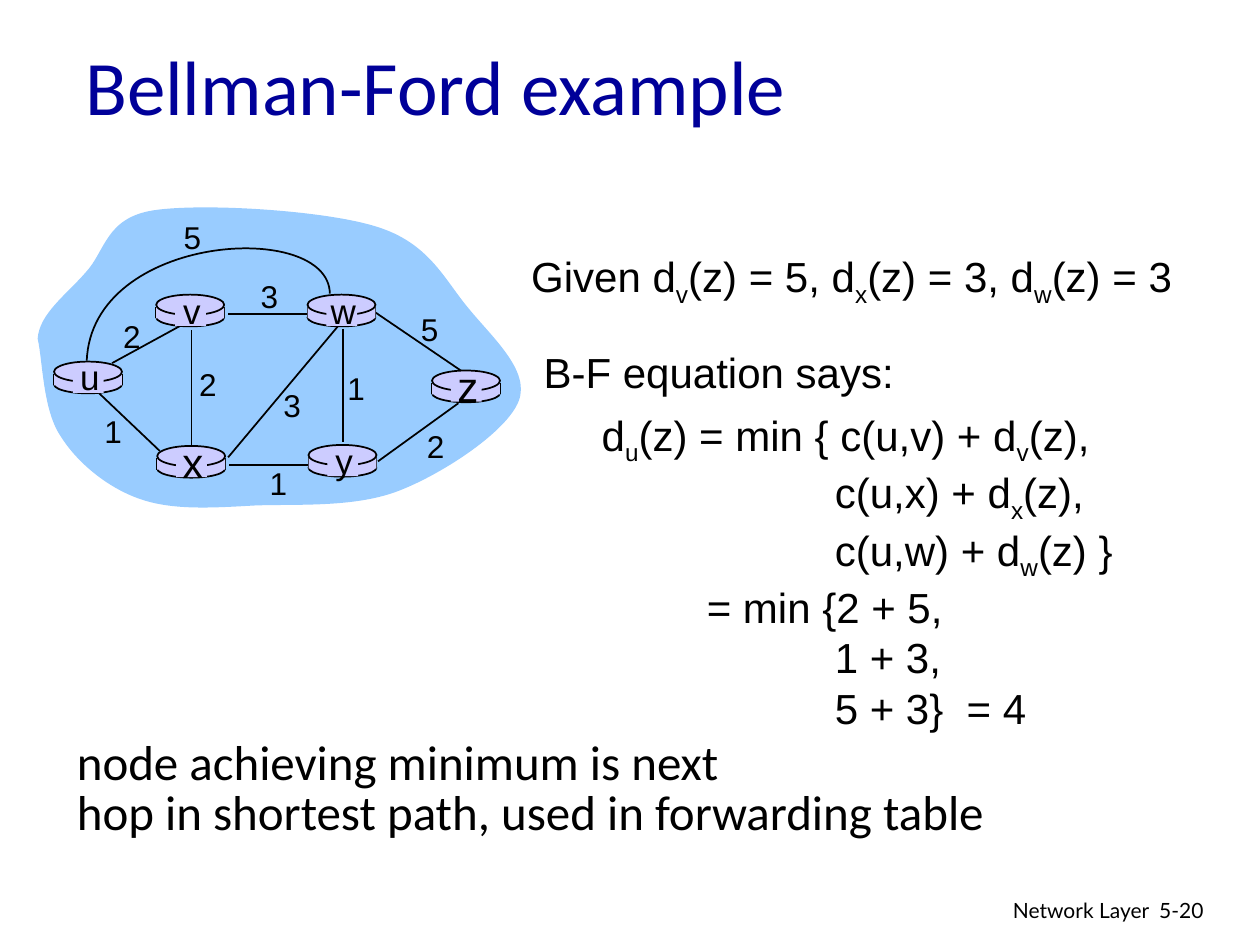
from lxml.etree import SubElement
from pptx import Presentation
from pptx.dml.color import RGBColor
from pptx.enum.shapes import MSO_CONNECTOR, MSO_SHAPE
from pptx.enum.text import MSO_ANCHOR, PP_ALIGN
from pptx.oxml.ns import qn
from pptx.util import Cm, Pt

COLORS = {"ink": "000000", "title": "000099", "cloud": "99CCFF", "router": "CCCCFF"}

# Start point, then three points (two controls and an end) for each curve
CLOUD = [
    (0, 2.74),
    (0.03, 2.24), (0.58, 1.85), (0.97, 1.4),
    (1.37, 0.97), (1.37, 0.3), (2.34, 0.15),
    (3.33, 0), (5.79, 0.15), (6.83, 0.48),
    (7.9, 0.81), (8.2, 1.55), (8.69, 2.13),
    (9.17, 2.72), (9.93, 3.38), (9.7, 3.99),
    (9.47, 4.6), (8.2, 5.44), (7.32, 5.79),
    (6.43, 6.15), (5.26, 6.07), (4.39, 6.1),
    (3.51, 6.15), (2.72, 6.2), (2.06, 5.97),
    (1.4, 5.74), (0.79, 5.23), (0.46, 4.7),
    (0.1, 4.17), (0.1, 3.15), (0, 2.74),
]
U_W_ARC = [(5.89, 1.83), (5.87, 0.33), (1.09, 0.61), (0.99, 3.18)]

# Ends of each link
LINKS = [
    (1.5, 3.23, 3, 2.41),        # u-v
    (6.15, 2.54, 6.15, 4.83),    # w-y
    (3.1, 2.57, 3.1, 4.93),      # v-x
    (3.84, 5.13, 6.05, 2.49),    # x-w
    (6.86, 5.21, 8.48, 4.04),    # y-z
    (5.46, 5.28, 3.86, 5.28),    # y-x
    (2.46, 5, 1.24, 3.84),       # x-u
    (5.44, 2.24, 3.84, 2.24),    # w-v
    (8.56, 3.4, 6.81, 2.21),     # z-w
]
COSTS = [
    ("2", 1.47, 2.18), ("1", 5.99, 3.23), ("2", 3, 3.15), ("3", 4.7, 3.56),
    ("2", 7.59, 4.39), ("1", 4.42, 5.13), ("1", 1.09, 4.09), ("3", 4.24, 1.37),
    ("5", 7.47, 2.03), ("5", 2.69, 0.18),
]
# Name, left, top, size of the name
ROUTERS = [
    ("u", 0.33, 3.2, 20), ("x", 2.41, 4.9, 24), ("v", 2.39, 1.85, 20),
    ("w", 5.44, 1.85, 20), ("y", 5.46, 4.88, 20), ("z", 7.95, 3.38, 24),
]
# Indent and text; the letter after "_" is a subscript
MINIMUM = [
    (0, "d_u(z) = min { c(u,v) + d_v(z),"),
    (4.7, "c(u,x) + d_x(z),"),
    (4.7, "c(u,w) + d_w(z) }"),
    (2.12, "= min {2 + 5,"),
    (4.7, "1 + 3,"),
    (4.7, "5 + 3}  = 4"),
]


def rgb(name):
    return RGBColor.from_string(COLORS[name])


def style(shape, fill=None, line=None):
    shape.shadow.inherit = False
    if fill:
        shape.fill.solid()
        shape.fill.fore_color.rgb = rgb(fill)
    else:
        shape.fill.background()
    if line:
        shape.line.color.rgb = rgb(line)
        shape.line.width = Pt(1)
    else:
        shape.line.fill.background()


def add_preset(shapes, preset, left, top, width, height, line=None):
    shape = shapes.add_shape(preset, Cm(left), Cm(top), Cm(width), Cm(height))
    style(shape, "router", line)


def add_line(shapes, x1, y1, x2, y2):
    line = shapes.add_connector(MSO_CONNECTOR.STRAIGHT, Cm(x1), Cm(y1), Cm(x2), Cm(y2))
    line.line.color.rgb = rgb("ink")
    line.line.width = Pt(1)
    SubElement(line._element.spPr, qn("a:effectLst"))


def add_curve(shapes, left, top, points, close=False, **look):
    """Draw cubic curves: a start point, then three points for each curve."""
    start, *rest = [(Cm(left + x), Cm(top + y)) for x, y in points]
    builder = shapes.build_freeform(*start)
    builder.add_line_segments(rest, close=close)
    curve = builder.convert_to_shape()
    segments = list(curve._element.iter(qn("a:lnTo")))
    for first in range(0, len(rest), 3):
        cubic = segments[first]
        cubic.tag = qn("a:cubicBezTo")
        for segment in segments[first + 1:first + 3]:
            cubic.append(segment[0])
            segment.getparent().remove(segment)
    style(curve, **look)


def add_text(shapes, left, top, width, height, lines, size, font="Arial", color="ink",
             align=PP_ALIGN.LEFT, anchor=MSO_ANCHOR.TOP, spacing=None, inset=True):
    """Write (indent, text) lines in which "_" makes the next letter a subscript."""
    frame = shapes.add_textbox(Cm(left), Cm(top), Cm(width), Cm(height)).text_frame
    frame.word_wrap = True
    frame.vertical_anchor = anchor
    if not inset:
        frame.margin_left = frame.margin_right = 0
        frame.margin_top = frame.margin_bottom = 0
    for number, (indent, text) in enumerate(lines):
        paragraph = frame.add_paragraph() if number else frame.paragraphs[0]
        paragraph.alignment = align
        if spacing:
            paragraph.line_spacing = spacing
        if indent:
            paragraph._p.get_or_add_pPr().set("marL", str(Cm(indent)))
        paragraph.font.name = font
        paragraph.font.size = Pt(size)
        paragraph.font.color.rgb = rgb(color)
        plain, *parts = text.split("_")
        paragraph.add_run().text = plain
        for part in parts:
            subscript = paragraph.add_run()
            subscript.text = part[0]
            subscript.font._element.set("baseline", "-25000")
            paragraph.add_run().text = part[1:]


def add_label(shapes, text, left, top, width, height, size):
    add_text(shapes, left, top, width, height, [(0, text)], size,
             align=PP_ALIGN.CENTER, anchor=MSO_ANCHOR.MIDDLE, inset=False)


def add_router(shapes, left, top, name, size):
    width = 1.37
    add_preset(shapes, MSO_SHAPE.OVAL, left, top + 0.28, width, 0.36, "ink")
    for side in (left, left + width):
        add_line(shapes, side, top + 0.25, side, top + 0.48)
    add_preset(shapes, MSO_SHAPE.RECTANGLE, left, top + 0.25, width, 0.23)
    add_preset(shapes, MSO_SHAPE.OVAL, left, top, width, 0.41, "ink")
    add_preset(shapes, MSO_SHAPE.RECTANGLE, left + 0.38, top + 0.05, 0.62, 0.58)
    add_label(shapes, name, left + 0.22, top - 0.25, 1, 1.12, size)


def add_network(shapes, left, top):
    add_curve(shapes, left, top, CLOUD, close=True, fill="cloud")
    for x1, y1, x2, y2 in LINKS:
        add_line(shapes, left + x1, top + y1, left + x2, top + y2)
    add_curve(shapes, left, top, U_W_ARC, line="ink")
    for name, x, y, size in ROUTERS:
        add_router(shapes, left + x, top + y, name, size)
    for cost, x, y in COSTS:
        add_label(shapes, cost, left + x, top + y, 0.86, 1.02, 18)


def add_equations(shapes, left, top):
    add_text(shapes, left, top, 14, 1.3, [(0, "Given d_v(z) = 5, d_x(z) = 3, d_w(z) = 3")], 24)
    add_text(shapes, left + 0.25, top + 1.93, 7.8, 1.27, [(0, "B-F equation says:")], 24)
    add_text(shapes, left + 1.42, top + 3.2, 11, 6.35, MINIMUM, 24)


def add_footer(shapes, left, top):
    add_text(shapes, left, top, 8.05, 0.78, [(0, "Network Layer")], 12, "Lato",
             align=PP_ALIGN.RIGHT)
    add_text(shapes, left + 7.75, top, 1.88, 0.76, [(0, "5-20")], 12, "Lato")


def main():
    deck = Presentation()
    deck.slide_width, deck.slide_height = Cm(25.4), Cm(19.05)
    shapes = deck.slides.add_slide(deck.slide_layouts[6]).shapes
    add_footer(shapes, 15.37, 17.96)
    add_text(shapes, 1.47, 0.48, 21.59, 2.44, [(0, "Bellman-Ford example")], 44,
             "Calibri", "title", anchor=MSO_ANCHOR.MIDDLE)
    add_network(shapes, 0.76, 4.09)
    add_equations(shapes, 10.46, 4.93)
    add_text(shapes, 1.3, 14.81, 19.2, 2.29,
             [(0, "node achieving minimum is next"),
              (0, "hop in shortest path, used in forwarding table")],
             28, "Calibri", spacing=0.85)
    deck.save("out.pptx")


if __name__ == "__main__":
    main()
